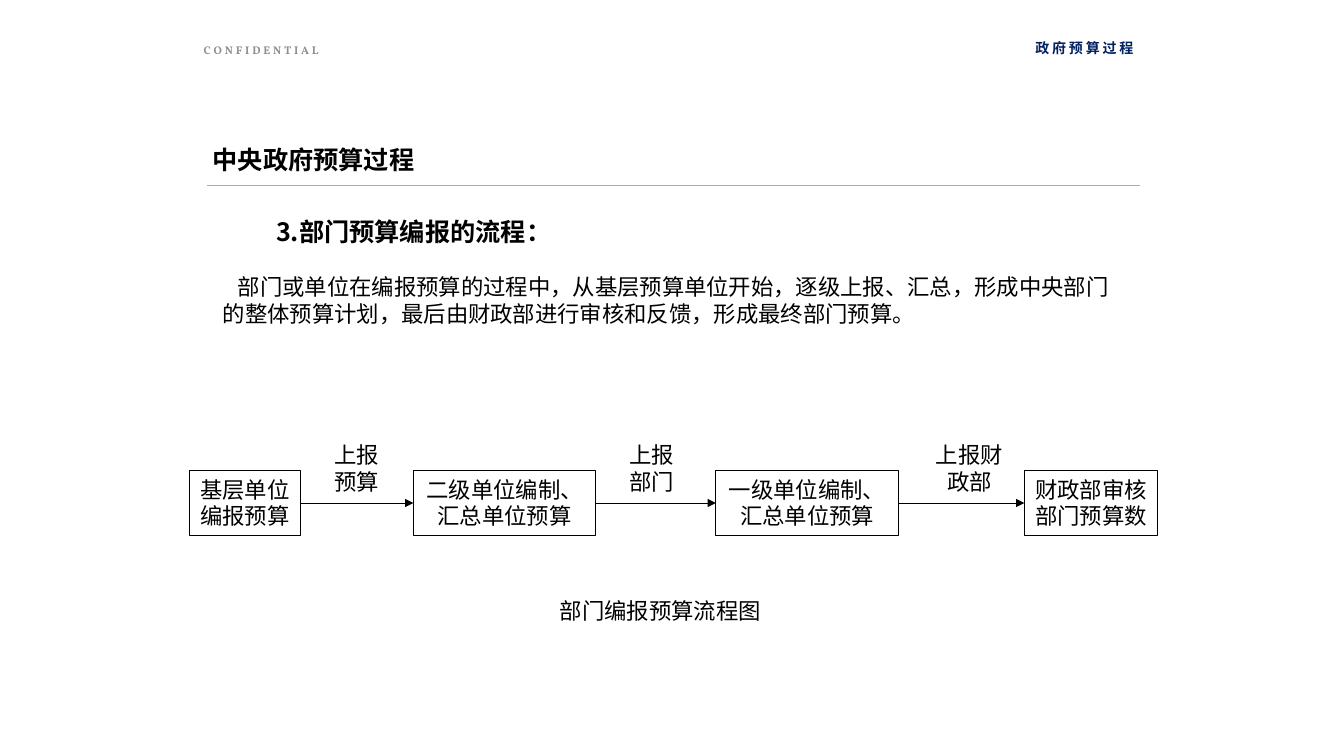
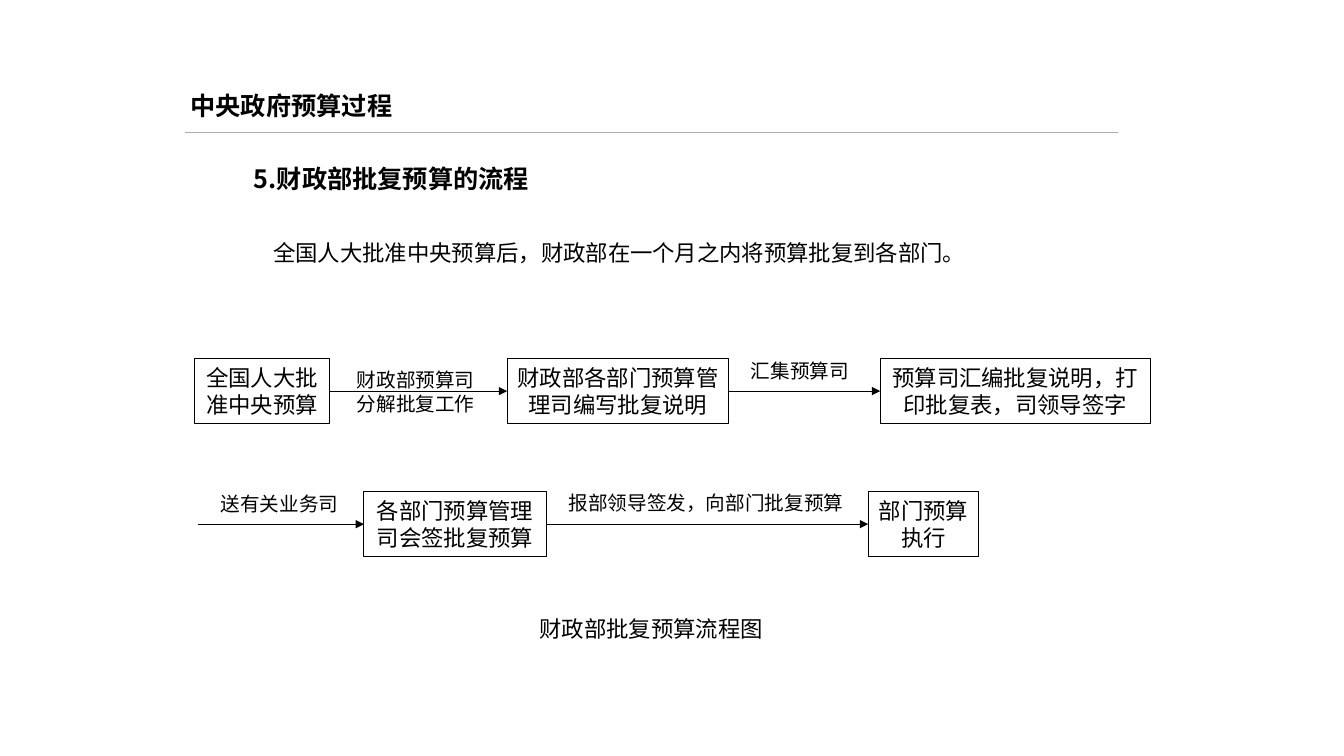
import pptx
import pptx.util
import pptx.dml.color
import pptx.enum.text
import pptx.enum.shapes
import pptx.oxml.ns
from dataclasses import dataclass
from lxml import etree

PX = 9144
ALIGN = pptx.enum.text.PP_ALIGN
ANCHOR = pptx.enum.text.MSO_ANCHOR


@dataclass(frozen=True)
class Theme:
    font: str = "Noto Sans CJK SC"
    header_font: str = "Vollkorn"
    ink: str = "000000"
    rule: str = "AFABAB"
    muted: str = "8F8F8F"
    navy: str = "002060"
    heading: int = 18
    body: int = 16
    note: int = 14
    tag: int = 10
    small: int = 8


THEME = Theme()
TITLE = "中央政府预算过程"
BOX_HEIGHT = 64

SLIDES = [
    {
        "header": ("CONFIDENTIAL", "政府预算过程"),
        "title_at": (201, 123, 968, 48),
        "rule": (205, 184, 926),
        "heading": ("3.部门预算编报的流程：", (264, 210, 746, 64)),
        "body": ("部门或单位在编报预算的过程中，从基层预算单位开始，逐级上报、汇总，"
                 "形成中央部门的整体预算计划，最后由财政部进行审核和反馈，形成最终部门预算。",
                 (211, 266, 920, 64), 15),
        "caption": ("部门编报预算流程图", (544, 587, 222, 37)),
        "rows": [
            {"top": 467, "start": None, "steps": [
                ("基层单位编报预算", 188, 110),
                ("二级单位编制、汇总单位预算", 410, 181),
                ("一级单位编制、汇总单位预算", 710, 181),
                ("财政部审核部门预算数", 1016, 132)]},
        ],
        "label_size": THEME.body,
        "labels": [
            (["上报预算"], (322, 433, 79, 64), ALIGN.LEFT),
            (["上报部门"], (614, 433, 79, 64), ALIGN.LEFT),
            (["上报财政部"], (914, 433, 95, 64), ALIGN.CENTER)],
    },
    {
        "header": (),
        "title_at": (179, 70, 968, 50),
        "rule": (183, 131, 926),
        "heading": ("5.财政部批复预算的流程", (242, 157, 746, 64)),
        "body": ("全国人大批准中央预算后，财政部在一个月之内将预算批复到各部门。",
                 (261, 232, 843, 37), 0),
        "caption": ("财政部批复预算流程图", (524, 605, 244, 37)),
        "rows": [
            {"top": 356, "start": None, "steps": [
                ("全国人大批准中央预算", 193, 134),
                ("财政部各部门预算管理司编写批复说明", 503, 220),
                ("预算司汇编批复说明，打印批复表，司领导签字", 873, 268)]},
            {"top": 488, "start": 196, "steps": [
                ("各部门预算管理司会签批复预算", 361, 181),
                ("部门预算执行", 861, 110)]},
        ],
        "label_size": THEME.note,
        "labels": [
            (["财政部预算司", "分解批复工作"], (344, 356, 149, 62), ALIGN.LEFT),
            (["汇集预算司"], (735, 351, 125, 34), ALIGN.LEFT),
            (["送有关业务司"], (209, 483, 138, 34), ALIGN.LEFT),
            (["报部领导签发，向部门批复预算"], (554, 482, 294, 34), ALIGN.LEFT)],
    },
]


def rgb(color):
    return pptx.dml.color.RGBColor.from_string(color)


def place(shape, at):
    shape.left, shape.top, shape.width, shape.height = (n * PX for n in at)


def child(parent, tag, **attributes):
    return etree.SubElement(parent, pptx.oxml.ns.qn(tag), attributes)


def write(shape, lines, size, align=ALIGN.LEFT, bold=False, color=THEME.ink,
          font=THEME.font, anchor=ANCHOR.TOP, inset=(10, 5), tracking=0):
    frame = shape.text_frame
    frame.word_wrap = True
    frame.auto_size = pptx.enum.text.MSO_AUTO_SIZE.NONE
    frame.vertical_anchor = anchor
    frame.margin_left = frame.margin_right = inset[0] * PX
    frame.margin_top = frame.margin_bottom = inset[1] * PX
    for index, line in enumerate(lines):
        para = frame.add_paragraph() if index else frame.paragraphs[0]
        para.alignment = align
        para.space_before = pptx.util.Pt(0)
        span = para.add_run()
        span.text = line
        span.font.name = font
        span.font.size = pptx.util.Pt(size)
        span.font.bold = bold
        span.font.color.rgb = rgb(color)
        properties = span.font._element
        child(properties, "a:ea", typeface=THEME.font)
        if tracking:
            properties.set("spc", str(tracking * 100))
    return frame.paragraphs[0]


def add_text(page, lines, at, size, **style):
    box = page.shapes.add_textbox(0, 0, 0, 0)
    place(box, at)
    return write(box, lines, size, **style)


def add_line(page, x1, x2, y, color, arrow=False):
    line = page.shapes.add_connector(
        pptx.enum.shapes.MSO_CONNECTOR.STRAIGHT, x1 * PX, y * PX, x2 * PX, y * PX)
    line.line.color.rgb = rgb(color)
    line.line.width = pptx.util.Pt(0.5)
    if arrow:
        child(line.line._get_or_add_ln(), "a:tailEnd", type="triangle")
    child(line._element.spPr, "a:effectLst")


def add_step(page, text, at):
    box = page.shapes.add_shape(pptx.enum.shapes.MSO_SHAPE.RECTANGLE, 0, 0, 0, 0)
    place(box, at)
    box.shadow.inherit = False
    box.fill.background()
    box.line.color.rgb = rgb(THEME.ink)
    box.line.width = pptx.util.Pt(0.75)
    write(box, [text], THEME.body, align=ALIGN.CENTER, inset=(9, 5))


def add_row(page, row):
    previous = row["start"]
    middle = row["top"] + BOX_HEIGHT // 2
    for text, left, width in row["steps"]:
        add_step(page, text, (left, row["top"], width, BOX_HEIGHT))
        if previous is not None:
            add_line(page, previous, left, middle, THEME.ink, arrow=True)
        previous = left + width


def add_header(page, left_text, right_text):
    style = dict(bold=True, font=THEME.header_font, anchor=ANCHOR.BOTTOM, tracking=2)
    add_text(page, [left_text], (202, 40, 168, 16), THEME.small,
             color=THEME.muted, inset=(0, 0), **style)
    add_text(page, [right_text], (629, 40, 500, 16), THEME.tag,
             color=THEME.navy, align=ALIGN.RIGHT, inset=(5, 0), **style)


def add_body(page, text, at, indent):
    body = page.placeholders[1]
    place(body, at)
    para = write(body, [text], THEME.body, anchor=ANCHOR.MIDDLE)
    properties = para._p.get_or_add_pPr()
    properties.set("marL", "0")
    properties.set("indent", str(indent * PX))
    child(properties, "a:buNone")


def build_page(deck, content):
    page = deck.slides.add_slide(deck.slide_layouts[1])
    title = page.shapes.title
    place(title, content["title_at"])
    write(title, [TITLE], THEME.heading, bold=True).line_spacing = 1.5
    if content["header"]:
        add_header(page, *content["header"])
    left, top, width = content["rule"]
    add_line(page, left, left + width, top, THEME.rule)
    heading, at = content["heading"]
    add_text(page, [heading], at, THEME.heading, bold=True)
    add_body(page, *content["body"])
    caption, at = content["caption"]
    add_text(page, [caption], at, THEME.body, align=ALIGN.CENTER)
    for row in content["rows"]:
        add_row(page, row)
    for lines, at, align in content["labels"]:
        para = add_text(page, lines, at, content["label_size"], align=align)
        if len(lines) > 1:
            para.line_spacing = pptx.util.Pt(20)


def main():
    deck = pptx.Presentation()
    deck.slide_width, deck.slide_height = 1333 * PX, 750 * PX
    for content in SLIDES:
        build_page(deck, content)
    deck.save("out.pptx")


if __name__ == "__main__":
    main()
